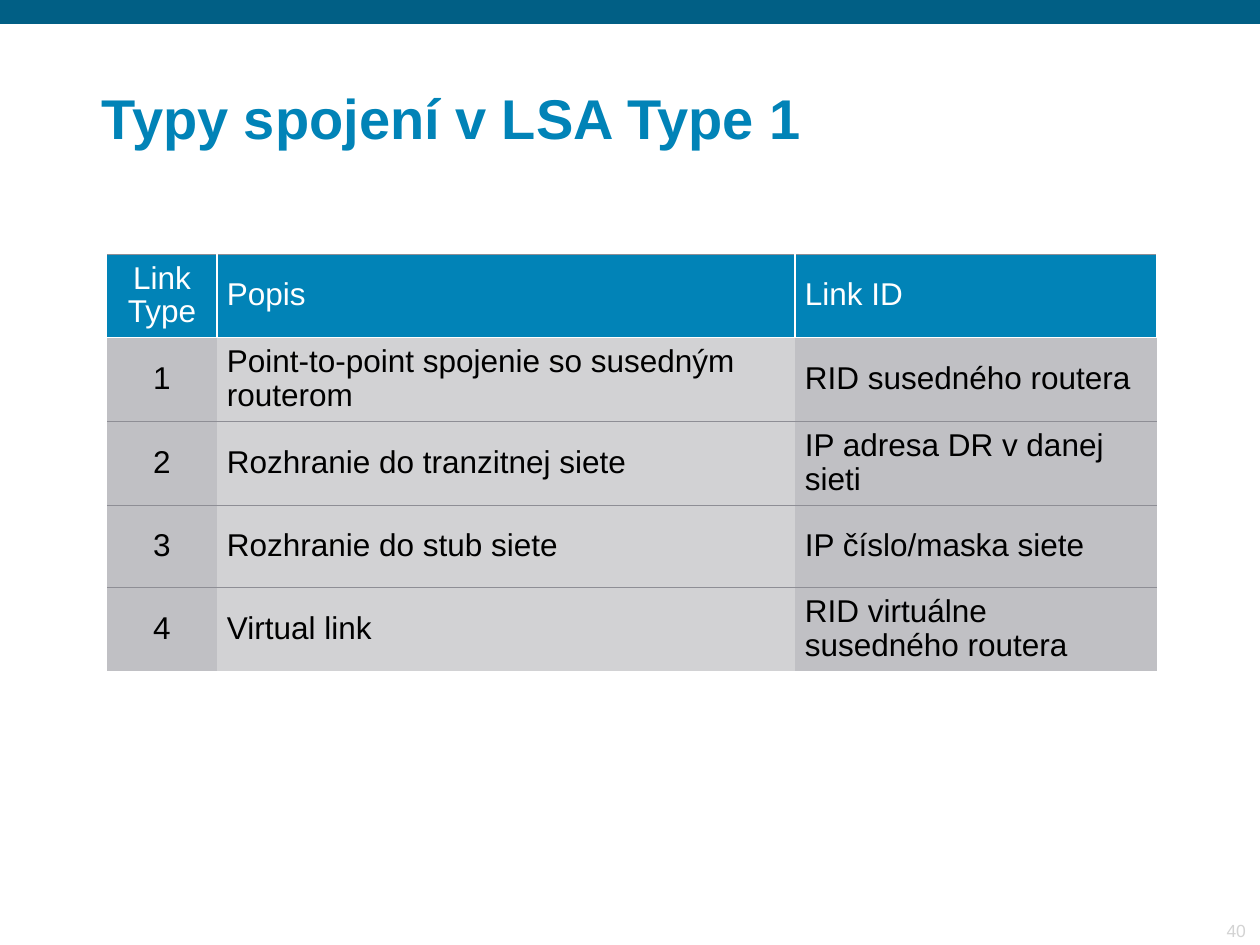
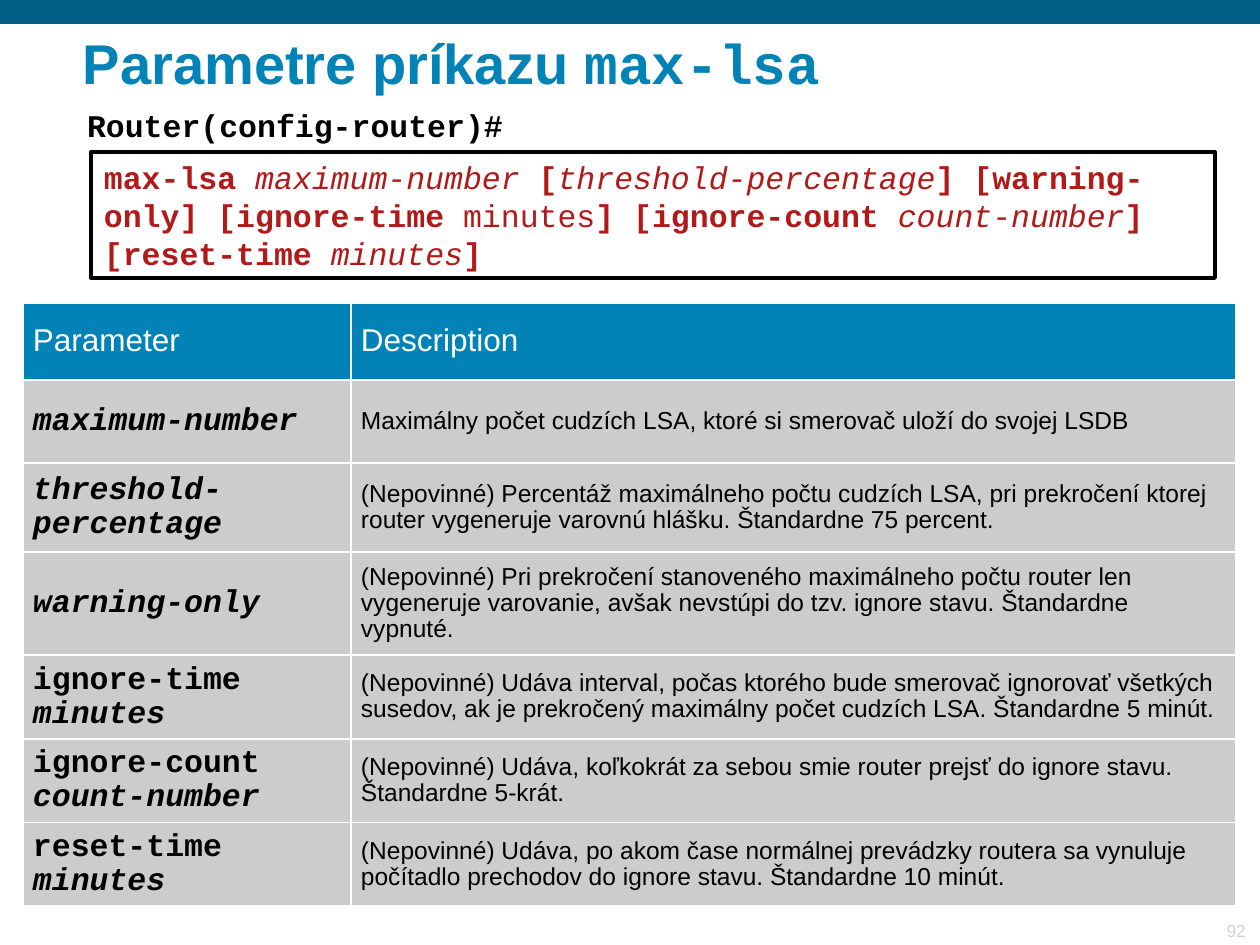
import pptx
import pptx.util
import pptx.dml.color
import pptx.enum.shapes
import pptx.enum.text
import pptx.oxml
import pptx.oxml.ns
from dataclasses import dataclass

ANCHOR = pptx.enum.text.MSO_ANCHOR
ALIGN = pptx.enum.text.PP_ALIGN
PIXELS_PER_INCH = 126


@dataclass(frozen=True)
class Theme:
    band: str = "015F85"
    accent: str = "0183B7"
    white: str = "FFFFFF"
    black: str = "000000"
    page_number: str = "D3D3D3"
    command: str = "B21A1A"
    rule: str = "8E8E95"
    side_column: str = "C0C0C4"
    middle_column: str = "D2D2D4"
    parameter_row: str = "CCCCCC"
    sans: str = "Arial"
    mono: str = "Courier New"
    title_size: int = 32
    body_size: int = 18
    detail_size: int = 14
    footer_size: int = 10


THEME = Theme()

LINK_TYPES = [
    ("Link Type", "Popis", "Link ID"),
    ("1", "Point-to-point spojenie so susedným routerom", "RID susedného routera"),
    ("2", "Rozhranie do tranzitnej siete", "IP adresa DR v danej sieti"),
    ("3", "Rozhranie do stub siete", "IP číslo/maska siete"),
    ("4", "Virtual link", "RID virtuálne susedného routera"),
]

COMMAND = [
    ("max-lsa ", "b"), ("maximum-number", "i"), (" [", "b"),
    ("threshold-percentage", "i"), ("] [warning-only] [ignore-time ", "b"),
    ("minutes", ""), ("] [ignore-count ", "b"), ("count-number", "i"),
    ("] [reset-time ", "b"), ("minutes", "i"), ("]", "b"),
]

PARAMETERS = [
    ([("maximum-number", "bi")],
     "Maximálny počet cudzích LSA, ktoré si smerovač uloží do svojej LSDB"),
    ([("threshold-percentage", "bi")],
     "(Nepovinné) Percentáž maximálneho počtu cudzích LSA, pri prekročení ktorej router "
     "vygeneruje varovnú hlášku. Štandardne 75 percent."),
    ([("warning-only", "bi")],
     "(Nepovinné) Pri prekročení stanoveného maximálneho počtu router len vygeneruje "
     "varovanie, avšak nevstúpi do tzv. ignore stavu. Štandardne vypnuté."),
    ([("ignore-time ", "b"), ("minutes", "bi")],
     "(Nepovinné) Udáva interval, počas ktorého bude smerovač ignorovať všetkých susedov, "
     "ak je prekročený maximálny počet cudzích LSA. Štandardne 5 minút."),
    ([("ignore-count ", "b"), ("count-number", "bi")],
     "(Nepovinné) Udáva, koľkokrát za sebou smie router prejsť do ignore stavu. "
     "Štandardne 5-krát."),
    ([("reset-time ", "b"), ("minutes", "bi")],
     "(Nepovinné) Udáva, po akom čase normálnej prevádzky routera sa vynuluje počítadlo "
     "prechodov do ignore stavu. Štandardne 10 minút."),
]


def px(length):
    return pptx.util.Emu(round(length * 914400 / PIXELS_PER_INCH))


def color(value):
    return pptx.dml.color.RGBColor.from_string(value)


def set_format(target, values):
    for name, value in values.items():
        setattr(target, name, value)


def paint(target, value):
    target.fill.solid()
    target.fill.fore_color.rgb = color(value)


def write(paragraph, runs, font, size, ink, **paragraph_format):
    set_format(paragraph, {"alignment": ALIGN.LEFT, **paragraph_format})
    for text, style, *own_font in runs:
        run = paragraph.add_run()
        run.text = text
        set_format(run.font, {
            "name": own_font[0] if own_font else font,
            "size": pptx.util.Pt(size),
            "bold": "b" in style,
            "italic": "i" in style,
        })
        run.font.color.rgb = color(ink)


def frame_format(frame, anchor, side, edge, wrap=True):
    set_format(frame, {
        "word_wrap": wrap, "vertical_anchor": anchor,
        "margin_left": px(side), "margin_right": px(side),
        "margin_top": px(edge), "margin_bottom": px(edge),
    })


def add_text(slide, box, anchor, runs, font, size, ink, side=11, wrap=True, **paragraph_format):
    shape = slide.shapes.add_textbox(*map(px, box))
    frame_format(shape.text_frame, anchor, side, 5, wrap)
    write(shape.text_frame.paragraphs[0], runs, font, size, ink, **paragraph_format)


def add_rectangle(slide, box, fill):
    shape = slide.shapes.add_shape(pptx.enum.shapes.MSO_SHAPE.RECTANGLE, *map(px, box))
    shape.shadow.inherit = False
    paint(shape, fill)
    shape.line.fill.background()
    return shape


def add_base_slide(presentation, title_box, title_runs, number):
    slide = presentation.slides.add_slide(presentation.slide_layouts[6])
    add_rectangle(slide, (0, 0, 1260, 24), THEME.band)
    add_text(slide, (1155, 913, 102, 33), ANCHOR.BOTTOM, [(number, "")],
             THEME.sans, THEME.footer_size, THEME.page_number, alignment=ALIGN.RIGHT)
    add_text(slide, title_box, ANCHOR.MIDDLE, title_runs,
             THEME.sans, THEME.title_size, THEME.accent, line_spacing=0.9)
    return slide


def add_table(slide, left, top, columns, rows):
    frame = slide.shapes.add_table(len(rows), len(columns),
                                   *map(px, (left, top, sum(columns), sum(rows))))
    table = frame.table
    set_format(table, {"first_row": False, "horz_banding": False})
    for column, width in zip(table.columns, columns):
        column.width = px(width)
    for row, height in zip(table.rows, rows):
        row.height = px(height)
    return table


def set_borders(cell, borders):
    properties = cell._tc.get_or_add_tcPr()
    for position, side in enumerate("LRTB"):
        line = properties.makeelement(pptx.oxml.ns.qn("a:ln" + side), {})
        properties.insert(position, line)
        if side in borders:
            ink, width = borders[side]
            line.set("w", str(pptx.util.Pt(width)))
            fill = pptx.oxml.ns.qn("a:solidFill")
            fill = line.makeelement(fill, {})
            line.append(fill)
            fill.append(fill.makeelement(pptx.oxml.ns.qn("a:srgbClr"), {"val": ink}))
        else:
            line.append(line.makeelement(pptx.oxml.ns.qn("a:noFill"), {}))


def fill_cell(cell, runs, fill, borders, ink=THEME.black, font=THEME.sans,
              size=THEME.body_size, alignment=ALIGN.LEFT):
    set_format(cell, {
        "vertical_anchor": ANCHOR.MIDDLE,
        "margin_left": px(10), "margin_right": px(10),
        "margin_top": px(6), "margin_bottom": px(6),
    })
    paint(cell, fill)
    set_borders(cell, borders)
    space = 11.2 if size == THEME.body_size else 8.8
    write(cell.text_frame.paragraphs[0], runs, font, size, ink, alignment=alignment,
          line_spacing=0.95, space_before=pptx.util.Pt(space))


def add_link_table(slide, left, top):
    table = add_table(slide, left, top, (110, 578, 362), (82, 83, 82, 82, 83))
    white, thin_white, grey = (THEME.white, 0.75), (THEME.white, 0.45), (THEME.rule, 0.45)
    fills = (THEME.side_column, THEME.middle_column, THEME.side_column)
    last = len(LINK_TYPES) - 1
    for row, texts in enumerate(LINK_TYPES):
        for column, text in enumerate(texts):
            if row == 0:
                borders = {"R": white, "B": white, "T": grey}
                if column:
                    borders["L"] = white
            else:
                borders = {"T": white if row == 1 else grey,
                           "B": thin_white if row == last else grey}
            fill_cell(table.cell(row, column), [(text, "")],
                      fills[column] if row else THEME.accent, borders,
                      ink=THEME.black if row else THEME.white,
                      alignment=ALIGN.LEFT if column else ALIGN.CENTER)


def add_parameter_table(slide, left, top):
    table = add_table(slide, left, top, (328, 885), (77, 83, 89, 103, 82, 82, 82))
    borders = dict.fromkeys("LRTB", (THEME.white, 1.08))
    for column, heading in enumerate(("Parameter", "Description")):
        fill_cell(table.cell(0, column), [(heading, "")], THEME.accent, borders, THEME.white)
    for row, (names, description) in enumerate(PARAMETERS, 1):
        fill_cell(table.cell(row, 0), names, THEME.parameter_row, borders, font=THEME.mono)
        fill_cell(table.cell(row, 1), [(description, "")], THEME.parameter_row, borders,
                  size=THEME.detail_size)


def add_command(slide, left, top):
    box = add_rectangle(slide, (left + 14, top + 51, 1124, 126), THEME.white)
    box.line.color.rgb = color(THEME.black)
    box.line.width = pptx.util.Pt(2.25)
    frame_format(box.text_frame, ANCHOR.TOP, 13, 6)
    write(box.text_frame.paragraphs[0], COMMAND, THEME.mono, THEME.body_size, THEME.command)
    add_text(slide, (left, top, 436, 48), ANCHOR.TOP, [("Router(config-router)#", "b")],
             THEME.mono, THEME.body_size, THEME.black, side=10, wrap=False)


def add_link_types_slide(presentation):
    slide = add_base_slide(presentation, (91, 63, 1123, 116),
                           [("Typy spojení v LSA Type 1", "b")], "40")
    add_link_table(slide, 107, 254)


def add_parameters_slide(presentation):
    title = [("Parametre príkazu ", "b"), ("max-lsa", "b", THEME.mono)]
    slide = add_base_slide(presentation, (72, 8, 1123, 116), title, "92")
    add_parameter_table(slide, 23, 303)
    add_command(slide, 77, 101)


def main():
    presentation = pptx.Presentation()
    set_format(presentation, {"slide_width": px(1260), "slide_height": px(945)})
    add_link_types_slide(presentation)
    add_parameters_slide(presentation)
    presentation.save("out.pptx")


if __name__ == "__main__":
    main()
